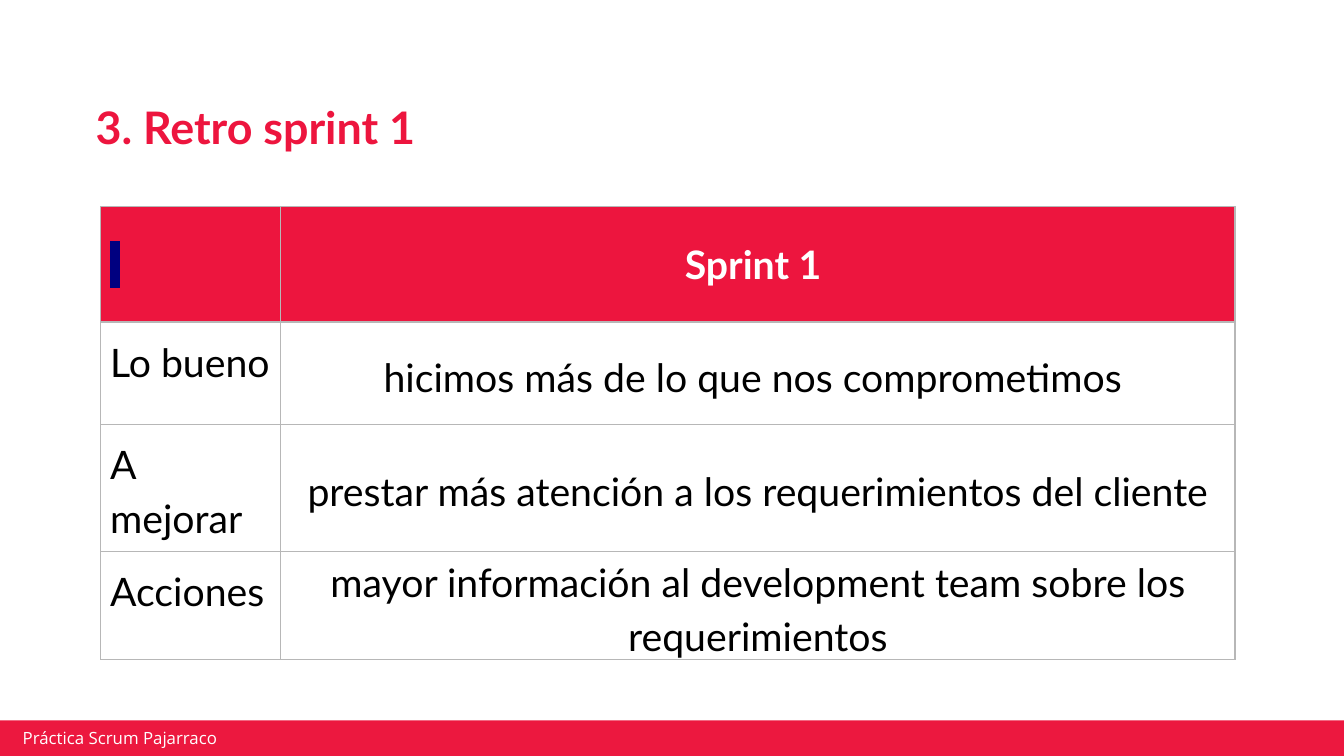
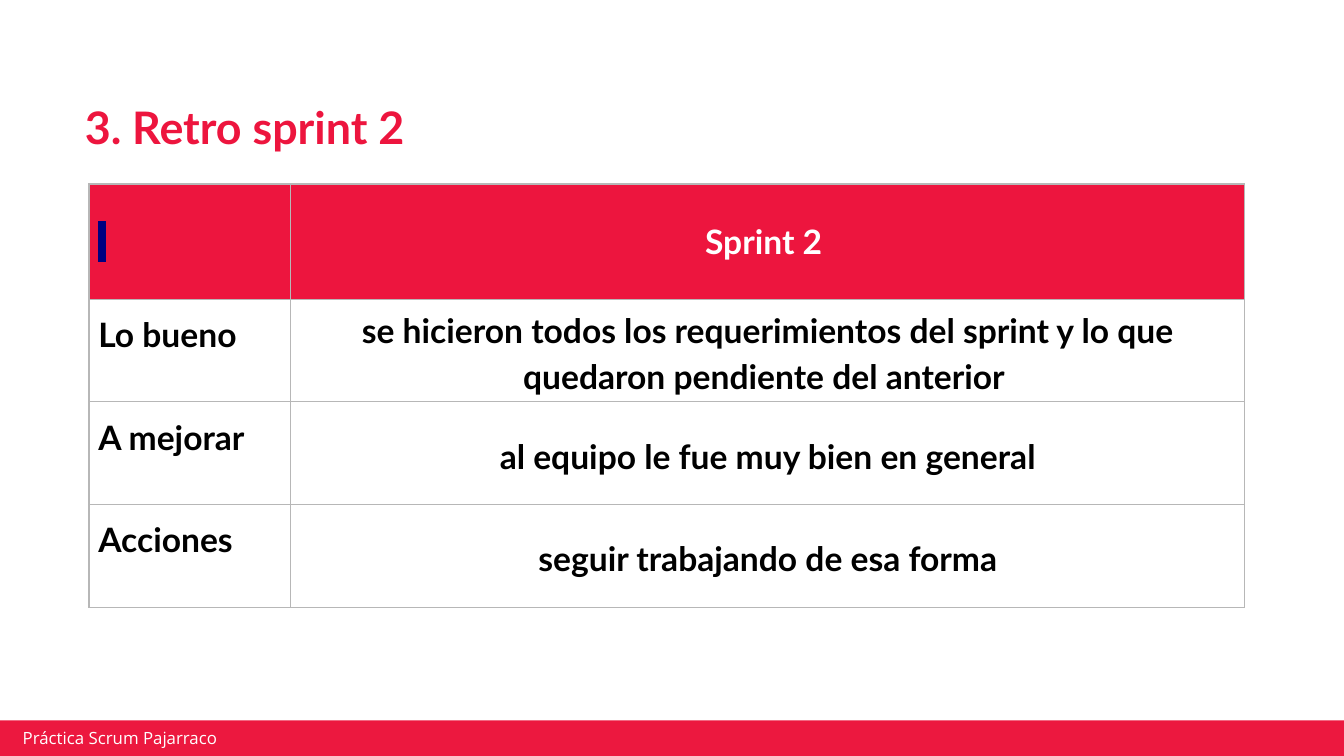
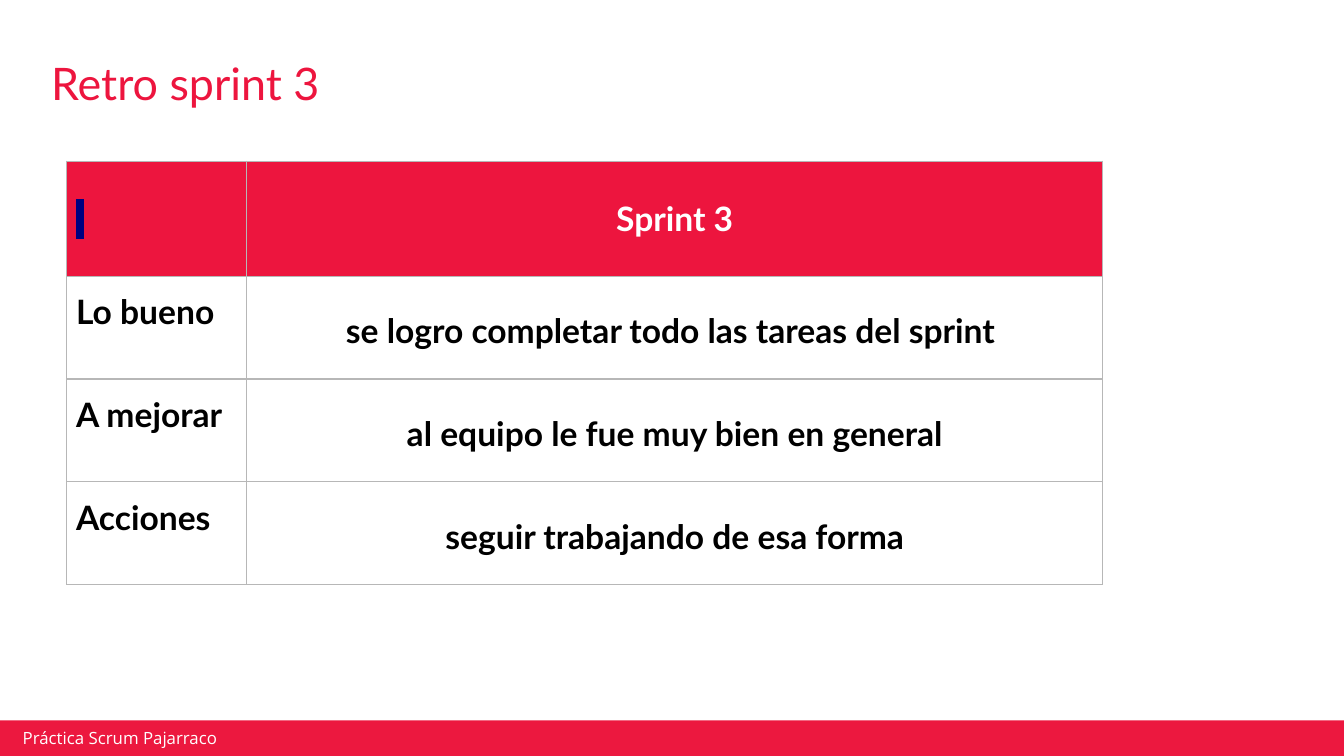
from lxml import etree
from pptx import Presentation
from pptx.dml.color import RGBColor
from pptx.enum import shapes, text
from pptx.oxml import ns
from pptx.util import Pt

COLORS = {
    "band": "EC183F",
    "accent": "ED153E",
    "grid": "B7B7B7",
    "mark": "000080",
    "white": "FFFFFF",
    "black": "000000",
}
HEADING_FONT = "Lato"
FOOTER_FONT = "Open Sans"
LABELS = ["Lo bueno", "A mejorar", "Acciones"]
ROW_HEIGHTS = [61.7, 55, 55, 55]

SPRINTS = [
    {
        "title": "3. Retro sprint 1",
        "title_at": (44, 53.3),
        "title_bold": True,
        "table_at": (54, 110.8),
        "columns": (96.4, 511.2),
        "size": 21,
        "body_bold": False,
        "header": "Sprint 1 ",
        "notes": [
            "hicimos más de lo que nos comprometimos ",
            "prestar más atención a los requerimientos del cliente",
            "mayor información al development team sobre los requerimientos",
        ],
    },
    {
        "title": "3. Retro sprint 2",
        "title_at": (38.2, 53.3),
        "title_bold": True,
        "table_at": (47.7, 98.6),
        "columns": (108, 511.2),
        "size": 18,
        "body_bold": True,
        "header": "Sprint 2 ",
        "notes": [
            "se hicieron todos los requerimientos del sprint y lo que "
            "quedaron pendiente del anterior ",
            "al equipo le fue muy bien en general",
            "seguir trabajando de esa forma",
        ],
    },
    {
        "title": "Retro sprint 3",
        "title_at": (20.2, 29.5),
        "title_bold": False,
        "table_at": (35.8, 86.4),
        "columns": (96.4, 458.6),
        "size": 18,
        "body_bold": True,
        "header": "Sprint 3",
        "notes": [
            "se logro completar todo las tareas del sprint ",
            "al equipo le fue muy bien en general",
            "seguir trabajando de esa forma",
        ],
    },
]


def rgb(name):
    return RGBColor.from_string(COLORS[name])


def set_text(holder, words, size, color, font=HEADING_FONT, bold=False,
             align=text.PP_ALIGN.LEFT, spacing=1.0):
    holder.text_frame.text = words
    para = holder.text_frame.paragraphs[0]
    para.alignment = align
    para.line_spacing = spacing
    span = para.runs[0]
    span.font.size = Pt(size)
    span.font.name = font
    span.font.bold = bold
    span.font.color.rgb = rgb(color)
    return span


def set_insets(holder, across, down):
    holder.margin_left = holder.margin_right = Pt(across)
    holder.margin_top = holder.margin_bottom = Pt(down)


def highlight(span, color):
    mark = etree.Element(ns.qn("a:highlight"))
    etree.SubElement(mark, ns.qn("a:srgbClr"), val=COLORS[color])
    span.font._element.find(ns.qn("a:solidFill")).addnext(mark)


def draw_borders(cell):
    properties = cell._tc.get_or_add_tcPr()
    for side in ("lnL", "lnR", "lnT", "lnB"):
        line = etree.SubElement(properties, ns.qn(f"a:{side}"), w=str(Pt(0.75)))
        fill = etree.SubElement(line, ns.qn("a:solidFill"))
        etree.SubElement(fill, ns.qn("a:srgbClr"), val=COLORS["grid"])


def add_footer(page, left, top, width, height):
    band = page.shapes.add_shape(shapes.MSO_SHAPE.RECTANGLE, Pt(left), Pt(top),
                                 Pt(width), Pt(height))
    band.shadow.inherit = False
    band.fill.solid()
    band.fill.fore_color.rgb = rgb("band")
    band.line.fill.background()
    box = page.shapes.add_textbox(Pt(left + 10), Pt(top + 4), Pt(172), Pt(11))
    frame = box.text_frame
    frame.word_wrap = True
    frame.vertical_anchor = text.MSO_ANCHOR.MIDDLE
    set_insets(frame, 3.6, 1.8)
    set_text(box, "Práctica Scrum Pajarraco", 9, "white", FOOTER_FONT)


def add_title(page, words, left, top, bold):
    title = page.shapes.title
    title.left, title.top = Pt(left), Pt(top)
    title.width, title.height = Pt(602), Pt(31)
    frame = title.text_frame
    frame.auto_size = text.MSO_AUTO_SIZE.NONE
    frame.vertical_anchor = text.MSO_ANCHOR.TOP
    set_insets(frame, 7.2, 3.6)
    set_text(title, words, 24, "accent", bold=bold, spacing=0.9)


def fill_header(table, words, size):
    corner, heading = table.cell(0, 0), table.cell(0, 1)
    highlight(set_text(corner, " ", size, "white", bold=True), "mark")
    set_text(heading, words, size, "white", bold=True,
             align=text.PP_ALIGN.CENTER)
    for cell in (corner, heading):
        set_insets(cell, 5, 5)
        cell.vertical_anchor = text.MSO_ANCHOR.MIDDLE
        cell.fill.solid()
        cell.fill.fore_color.rgb = rgb("accent")


def fill_body(table, notes, size, bold):
    for row, (label, note) in enumerate(zip(LABELS, notes), start=1):
        name, remark = table.cell(row, 0), table.cell(row, 1)
        set_text(name, label, size, "black", bold=bold, spacing=1.15)
        set_insets(name, 5, 5)
        set_text(remark, note, size, "black", bold=bold,
                 align=text.PP_ALIGN.CENTER, spacing=1.15)
        set_insets(remark, 0, 0)
        remark.vertical_anchor = text.MSO_ANCHOR.MIDDLE
        for cell in (name, remark):
            cell.fill.background()


def add_retro_table(page, sprint):
    left, top = sprint["table_at"]
    columns = sprint["columns"]
    table = page.shapes.add_table(
        len(ROW_HEIGHTS), len(columns), Pt(left), Pt(top),
        Pt(sum(columns)), Pt(sum(ROW_HEIGHTS))).table
    table.first_row = table.horz_banding = False
    for column, width in zip(table.columns, columns):
        column.width = Pt(width)
    for row, height in zip(table.rows, ROW_HEIGHTS):
        row.height = Pt(height)
    for cell in table.iter_cells():
        draw_borders(cell)
    fill_header(table, sprint["header"], sprint["size"])
    fill_body(table, sprint["notes"], sprint["size"], sprint["body_bold"])


def add_retro_page(deck, sprint):
    page = deck.slides.add_slide(deck.slide_layouts[5])
    add_footer(page, -1.4, 385.9, 722.2, 19.4)
    add_title(page, sprint["title"], *sprint["title_at"], sprint["title_bold"])
    add_retro_table(page, sprint)


def main():
    deck = Presentation()
    deck.slide_width, deck.slide_height = Pt(720), Pt(405)
    for sprint in SPRINTS:
        add_retro_page(deck, sprint)
    deck.save("out.pptx")


if __name__ == "__main__":
    main()
